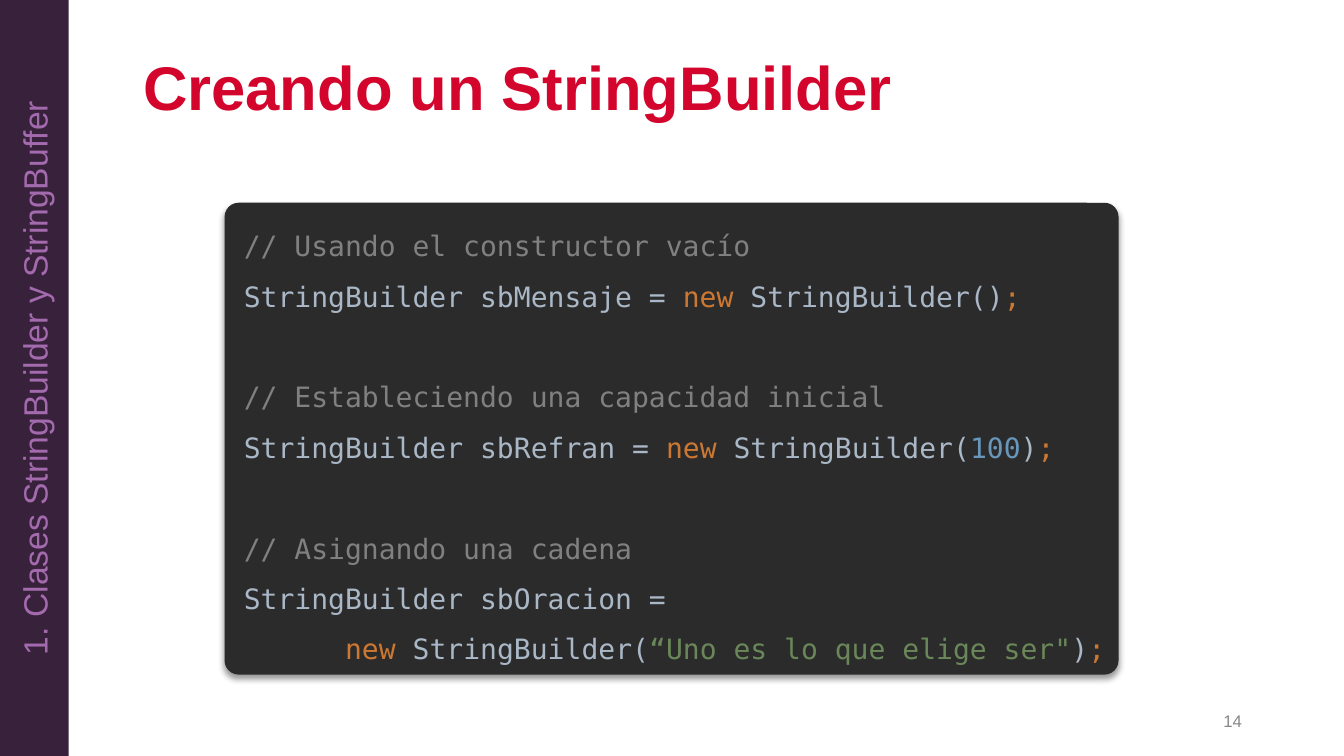
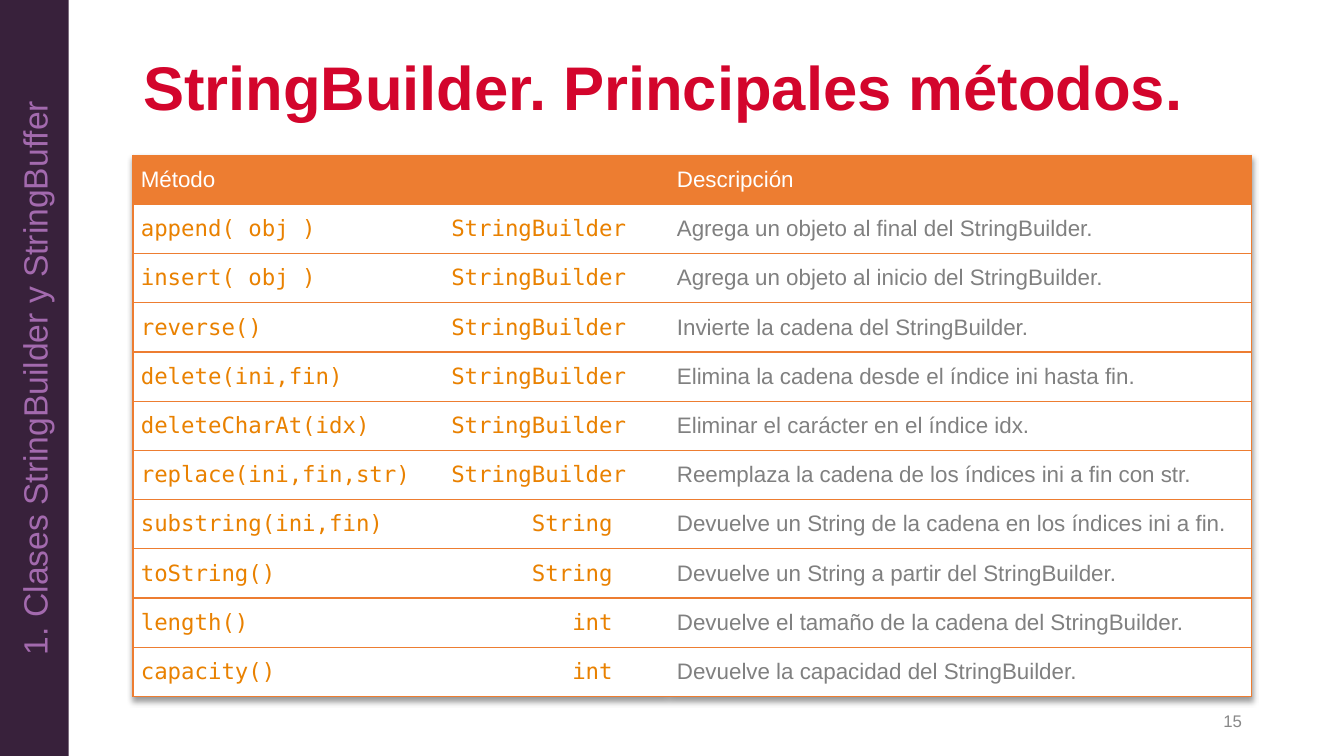
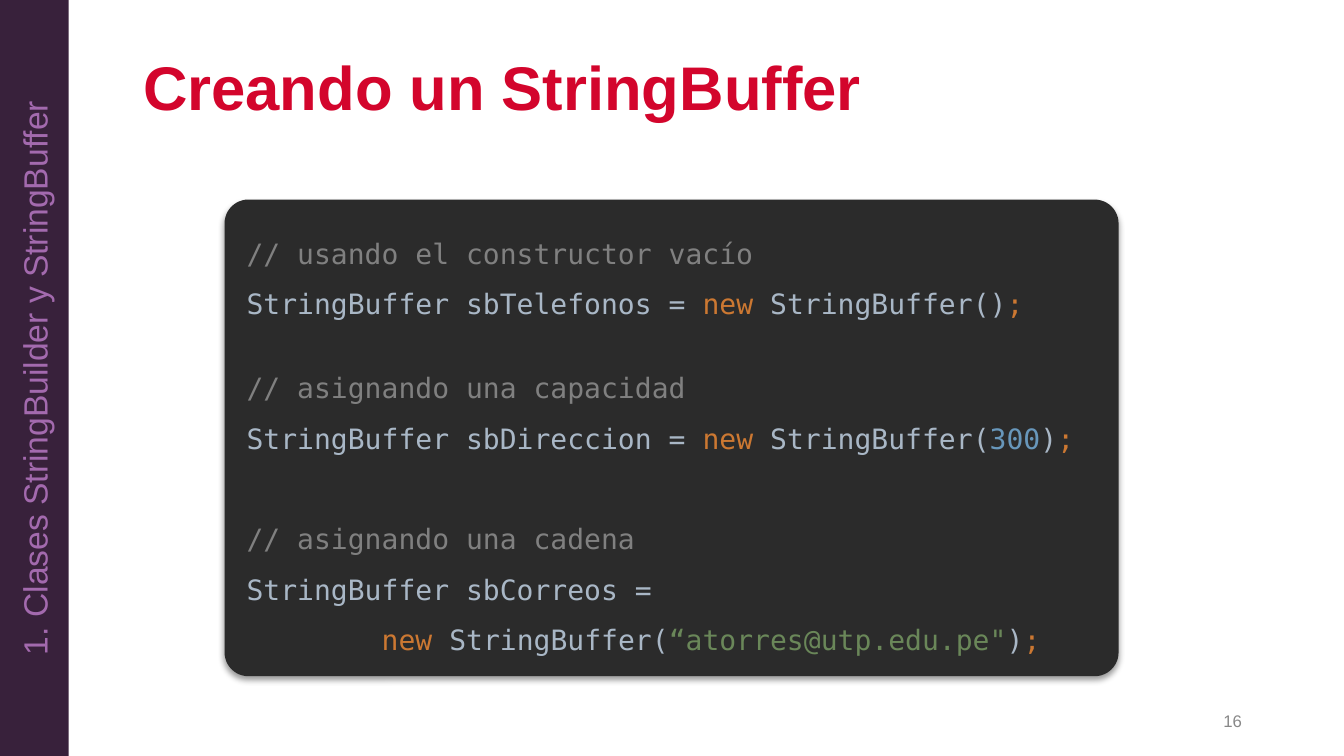
from pptx import Presentation
from pptx.dml.color import RGBColor
from pptx.enum.shapes import MSO_SHAPE
from pptx.enum.text import MSO_ANCHOR, PP_ALIGN
from pptx.oxml import parse_xml
from pptx.oxml.ns import nsdecls
from pptx.util import Cm, Pt

RECTANGLE, ROUNDED = MSO_SHAPE.RECTANGLE, MSO_SHAPE.ROUNDED_RECTANGLE
LEFT, CENTER, RIGHT = PP_ALIGN.LEFT, PP_ALIGN.CENTER, PP_ALIGN.RIGHT
MIDDLE = MSO_ANCHOR.MIDDLE

# Shared style
SANS, MONO = "Arial", "DejaVu Sans Mono"
RED, PURPLE, LILAC, GREY = "D3052C", "38213B", "A36AAE", "888888"
ORANGE, AMBER, WHITE, TEXT_GREY = "ED7D31", "E98100", "FFFFFF", "808080"
PANEL = "2B2B2B"
NOTE, CODE, KEY, NUMBER, STRING = "808080", "A9B7C6", "CC7832", "6897BB", "6A8759"
NO_STYLE = "{2D5ABB26-0587-4C30-8999-92F81FD0307C}"
SECTION = "1. Clases StringBuilder y StringBuffer"
FIRST_NUMBER = 14
CONTENT_LEFT, CONTENT_WIDTH = 3.35, 28.19

# Content: each code line is (points of space before, coloured spans)
NEW, END = ("new ", KEY), (";", KEY)
BUILDER_CODE = [
    (0, [("// Usando el constructor vacío", NOTE)]),
    (0, [("StringBuilder sbMensaje = ", CODE), NEW, ("StringBuilder()", CODE), END]),
    (36, [("// Estableciendo una capacidad inicial", NOTE)]),
    (0, [("StringBuilder sbRefran = ", CODE), NEW, ("StringBuilder(", CODE),
         ("100", NUMBER), (")", CODE), END]),
    (36, [("// Asignando una cadena", NOTE)]),
    (0, [("StringBuilder sbOracion =", CODE)]),
    (0, [("      ", CODE), NEW, ("StringBuilder(", CODE),
         ("“Uno es lo que elige ser\"", STRING), (")", CODE), END]),
]
BUFFER_CODE = [
    (0, [("// usando el constructor vacío", NOTE)]),
    (0, [("StringBuffer sbTelefonos = ", CODE), NEW, ("StringBuffer()", CODE), END]),
    (24, [("// asignando una capacidad", NOTE)]),
    (0, [("StringBuffer sbDireccion = ", CODE), NEW, ("StringBuffer(", CODE),
         ("300", NUMBER), (")", CODE), END]),
    (36, [("// asignando una cadena", NOTE)]),
    (0, [("StringBuffer sbCorreos =", CODE)]),
    (0, [("        ", CODE), NEW, ("StringBuffer(", CODE),
         ("“atorres@utp.edu.pe\"", STRING), (")", CODE), END]),
]
HEADINGS = ("Método", "Descripción")
METHODS = [
    ("append( obj )", "StringBuilder", "Agrega un objeto al final del StringBuilder."),
    ("insert( obj )", "StringBuilder", "Agrega un objeto al inicio del StringBuilder."),
    ("reverse()", "StringBuilder", "Invierte la cadena del StringBuilder."),
    ("delete(ini,fin)", "StringBuilder", "Elimina la cadena desde el índice ini hasta fin."),
    ("deleteCharAt(idx)", "StringBuilder", "Eliminar el carácter en el índice idx."),
    ("replace(ini,fin,str)", "StringBuilder",
     "Reemplaza la cadena de los índices ini a fin con str."),
    ("substring(ini,fin)", "String",
     "Devuelve un String de la cadena en los índices ini a fin."),
    ("toString()", "String", "Devuelve un String a partir del StringBuilder."),
    ("length()", "int", "Devuelve el tamaño de la cadena del StringBuilder."),
    ("capacity()", "int", "Devuelve la capacidad del StringBuilder."),
]
COLUMN_WIDTHS, ROW_HEIGHT = (13.51, 14.68), 1.24


def rgb(color):
    return RGBColor.from_string(color)


def add_span(para, text, size, color, font=SANS, bold=False):
    span = para.add_run()
    span.text = text
    span.font.name, span.font.size, span.font.bold = font, Pt(size), bold
    span.font.color.rgb = rgb(color)


def soft_shadow():
    return parse_xml(
        f'<a:effectLst {nsdecls("a")}><a:outerShdw blurRad="{Pt(4)}" dist="{Pt(3)}" '
        'dir="5400000" rotWithShape="0"><a:srgbClr val="000000">'
        '<a:alpha val="40000"/></a:srgbClr></a:outerShdw></a:effectLst>')


def add_filled_shape(page, kind, place, color):
    shape = page.shapes.add_shape(kind, *map(Cm, place))
    shape.fill.solid()
    shape.fill.fore_color.rgb = rgb(color)
    shape.line.fill.background()
    shape.shadow.inherit = False
    shape.text_frame.vertical_anchor = MIDDLE
    return shape


def add_page(deck, title):
    number = FIRST_NUMBER + len(deck.slides)
    page = deck.slides.add_slide(deck.slide_layouts[5])

    # Title
    box = page.shapes.title
    box.left, box.top, box.width, box.height = map(
        Cm, (CONTENT_LEFT, 1.19, CONTENT_WIDTH, 2.18))
    box.text_frame.vertical_anchor = MIDDLE
    para = box.text_frame.paragraphs[0]
    para.alignment, para.line_spacing = LEFT, 0.9
    add_span(para, title, 44, RED, bold=True)

    # Page number
    box = page.shapes.add_textbox(*map(Cm, (23.93, 17.65, 7.62, 1.02)))
    box.text_frame.word_wrap = True
    box.text_frame.vertical_anchor = MIDDLE
    para = box.text_frame.paragraphs[0]
    para.alignment = RIGHT
    add_span(para, str(number), 12, GREY)

    # Section band
    band = add_filled_shape(page, RECTANGLE, (0, 0, 1.73, 19.05), PURPLE)
    band.text_frame._txBody.bodyPr.set("vert", "vert270")
    para = band.text_frame.paragraphs[0]
    para.alignment = CENTER
    add_span(para, SECTION, 24, LILAC)
    return page


def add_code_panel(page, lines, top, height, rounding):
    panel = add_filled_shape(page, ROUNDED, (5.66, top, 22.53, height), PANEL)
    panel.adjustments[0] = rounding
    panel.shadow.inherit = True
    panel.element.spPr.append(soft_shadow())
    frame = panel.text_frame
    frame.word_wrap = True
    frame.margin_left, frame.margin_right = Cm(0.38), Cm(0)
    for index, (gap, spans) in enumerate(lines):
        para = frame.add_paragraph() if index else frame.paragraphs[0]
        para.alignment, para.line_spacing = LEFT, 1.5
        para.space_before = Pt(gap)
        for text, color in spans:
            add_span(para, text, 20, color, MONO)


def set_borders(cell, sides):
    for index, side in enumerate(sides):
        cell._tc.get_or_add_tcPr().insert(index, parse_xml(
            f'<a:ln{side} {nsdecls("a")} w="{Pt(1)}"><a:solidFill>'
            f'<a:srgbClr val="{ORANGE}"/></a:solidFill></a:ln{side}>'))


def add_right_tab(para, position):
    para._p.get_or_add_pPr().append(parse_xml(
        f'<a:tabLst {nsdecls("a")}><a:tab pos="{Cm(position)}" algn="r"/></a:tabLst>'))


def add_method_table(page):
    rows = [HEADINGS] + [(f"{name}\t{kind}", note) for name, kind, note in METHODS]
    table = page.shapes.add_table(
        len(rows), len(HEADINGS), Cm(CONTENT_LEFT), Cm(3.91),
        Cm(CONTENT_WIDTH), Cm(ROW_HEIGHT * len(rows))).table
    table.first_row = table.horz_banding = False
    properties = table._tbl.tblPr
    properties[0].text = NO_STYLE
    properties.insert(0, soft_shadow())
    for column, width in zip(table.columns, COLUMN_WIDTHS):
        column.width = Cm(width)
    for row_index, texts in enumerate(rows):
        table.rows[row_index].height = Cm(ROW_HEIGHT)
        for column_index, text in enumerate(texts):
            cell = table.cell(row_index, column_index)
            cell.vertical_anchor = MIDDLE
            cell.margin_left = cell.margin_right = Cm(0.2)
            cell.margin_top = cell.margin_bottom = Cm(0.1)
            cell.fill.solid()
            cell.fill.fore_color.rgb = rgb(WHITE if row_index else ORANGE)
            set_borders(cell, "RTB" if column_index else "LTB")
            para = cell.text_frame.paragraphs[0]
            if row_index == 0:
                add_span(para, text, 16, WHITE)
            elif column_index == 0:
                add_right_tab(para, 12.23 if text.endswith("Builder") else 11.89)
                add_span(para, text, 16, AMBER, MONO)
            else:
                add_span(para, text, 16, TEXT_GREY)


def main():
    deck = Presentation()
    deck.slide_width, deck.slide_height = Cm(33.87), Cm(19.05)
    add_code_panel(add_page(deck, "Creando un StringBuilder"),
                   BUILDER_CODE, 5.11, 11.89, 0.03)
    add_method_table(add_page(deck, "StringBuilder. Principales métodos."))
    add_code_panel(add_page(deck, "Creando un StringBuffer"),
                   BUFFER_CODE, 5.03, 12.01, 0.05)
    deck.save("out.pptx")


if __name__ == "__main__":
    main()
